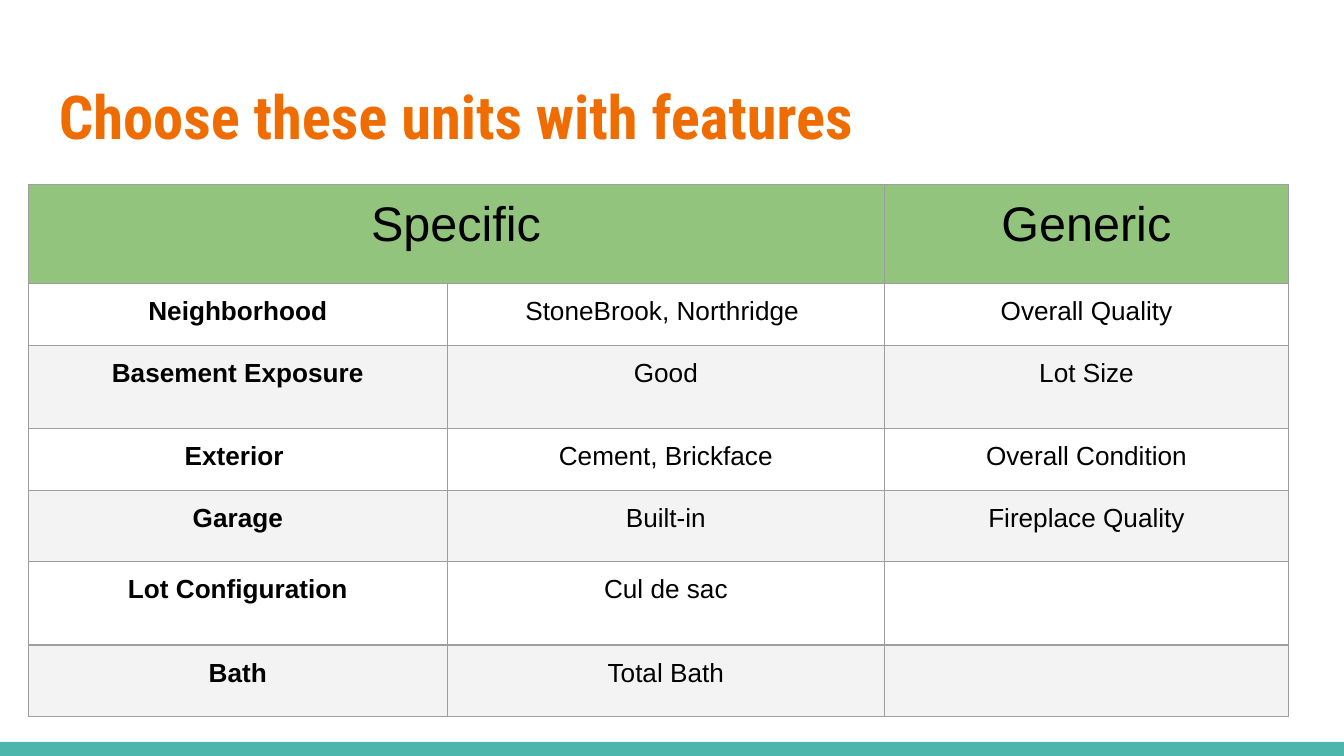
from lxml.etree import SubElement
from pptx import Presentation
from pptx.dml.color import RGBColor
from pptx.enum.shapes import MSO_SHAPE
from pptx.enum.text import MSO_ANCHOR, PP_ALIGN
from pptx.oxml.ns import qn
from pptx.util import Inches, Pt

# Content
TITLE = "Choose these units with features"
HEADER = ("Specific", "", "Generic")
FEATURES = [
    ("Neighborhood", "StoneBrook, Northridge ", "Overall Quality"),
    ("Basement Exposure", "Good", "Lot Size"),
    ("Exterior ", "Cement, Brickface", "Overall Condition"),
    ("Garage", "Built-in", "Fireplace Quality"),
    ("Lot Configuration", "Cul de sac", ""),
    ("Bath", "Total Bath", ""),
]

# Format
COLORS = {"title": "EF6C00", "footer": "4DB6AC", "header": "93C47D", "band": "F3F3F3",
          "plain": "FFFFFF", "border": "9E9E9E", "text": "000000"}
TITLE_FONT = {"name": "Roboto Condensed", "size": Pt(32.4), "bold": True}
HEADER_FONT = {"name": "Arial", "size": Pt(26), "bold": False}
LABEL_FONT = {"name": "Arial", "size": Pt(14), "bold": True}
VALUE_FONT = {**LABEL_FONT, "bold": False}
MARGINS = {f"margin_{side}": Inches(0.1) for side in ("left", "right", "top", "bottom")}
COLUMN_WIDTHS = (3.12, 3.25, 3.01)
ROW_HEIGHTS = (0.74, 0.46, 0.62, 0.46, 0.53, 0.62, 0.53)


def apply(target, values):
    for name, value in values.items():
        setattr(target, name, value)


def paint(fill, color):
    fill.solid()
    fill.fore_color.rgb = RGBColor.from_string(COLORS[color])


def write(paragraph, text, font, color):
    run = paragraph.add_run()
    run.text = text
    apply(run.font, font)
    run.font.color.rgb = RGBColor.from_string(COLORS[color])


def add_borders(cell):
    properties = cell._tc.get_or_add_tcPr()
    for edge in ("a:lnL", "a:lnR", "a:lnT", "a:lnB"):
        line = SubElement(properties, qn(edge), w=str(Pt(0.75)))
        SubElement(SubElement(line, qn("a:solidFill")), qn("a:srgbClr"), val=COLORS["border"])


# Widescreen slide, 16:9
prs = Presentation()
prs.slide_width = Inches(10)
prs.slide_height = prs.slide_width * 9 // 16
slide = prs.slides.add_slide(prs.slide_layouts[6])

# Footer bar
footer = slide.shapes.add_shape(MSO_SHAPE.RECTANGLE, 0, Inches(5.52), prs.slide_width, Inches(0.11))
footer.shadow.inherit = False
paint(footer.fill, "footer")
footer.line.fill.background()

# Title
title = slide.shapes.add_textbox(Inches(0.34), Inches(0.49), Inches(9.32), Inches(0.77)).text_frame
apply(title, {**MARGINS, "word_wrap": True, "vertical_anchor": MSO_ANCHOR.TOP})
write(title.paragraphs[0], TITLE, TITLE_FONT, "title")

# Feature table
rows = [HEADER, *FEATURES]
table = slide.shapes.add_table(
    len(rows), len(HEADER), Inches(0.21), Inches(1.37),
    Inches(sum(COLUMN_WIDTHS)), Inches(sum(ROW_HEIGHTS))).table
apply(table, {"first_row": False, "horz_banding": False})
for column, width in zip(table.columns, COLUMN_WIDTHS):
    column.width = Inches(width)
for row, height in zip(table.rows, ROW_HEIGHTS):
    row.height = Inches(height)
table.cell(0, 0).merge(table.cell(0, 1))

for r, row in enumerate(rows):
    row_color = "header" if r == 0 else "plain" if r % 2 else "band"
    for c, text in enumerate(row):
        cell = table.cell(r, c)
        apply(cell, MARGINS)
        add_borders(cell)
        paint(cell.fill, row_color)
        if text:
            paragraph = cell.text_frame.paragraphs[0]
            paragraph.alignment = PP_ALIGN.CENTER
            font = HEADER_FONT if r == 0 else LABEL_FONT if c == 0 else VALUE_FONT
            write(paragraph, text, font, "text")

prs.save("out.pptx")
